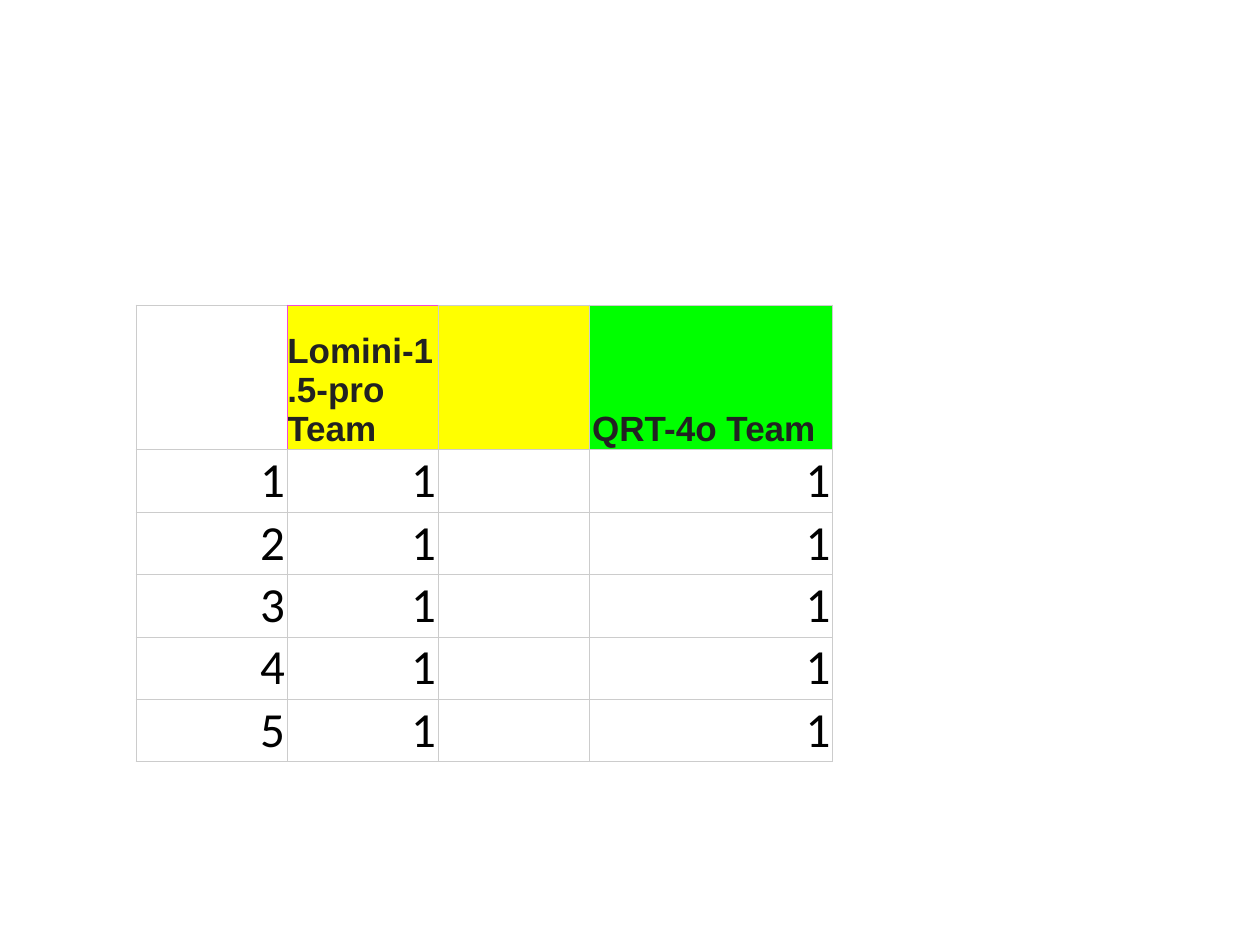
import pptx
import pptx.util
import pptx.dml.color
import pptx.enum.text
import pptx.oxml
import pptx.oxml.ns

Inches = pptx.util.Inches
RGB = pptx.dml.color.RGBColor.from_string

HEADINGS = ["", "Lomini-1.5-pro Team", "", "QRT-4o Team"]
SCORES = [[str(trial), "1", "", "1"] for trial in range(1, 6)]

THEME = {
    "heading": {"size": pptx.util.Pt(20), "name": "Arial", "bold": True},
    "score": {"size": pptx.util.Pt(28), "name": "Calibri", "bold": False},
    "heading_color": "222222",
    "score_color": "000000",
    "heading_fills": [None, "FFFF00", "FFFF00", "00FF00"],
    "grid": "CCCCCC",
    "accent": "F04AD9",
    "grid_width": pptx.util.Pt(0.5),
}
COLUMN_WIDTHS = [1.2, 1.2, 1.2, 1.93]
ROW_HEIGHTS = [1.15] + [0.39] * len(SCORES)
ACCENT_EDGES = {(0, 0): "R", (0, 1): "LT"}


def set_borders(cell, accent_edges):
    properties = cell._tc.get_or_add_tcPr()
    for position, edge in enumerate("LRTB"):
        color = THEME["accent"] if edge in accent_edges else THEME["grid"]
        properties.insert(position, pptx.oxml.parse_xml(
            f'<a:ln{edge} {pptx.oxml.ns.nsdecls("a")} w="{THEME["grid_width"]}">'
            f'<a:solidFill><a:srgbClr val="{color}"/></a:solidFill></a:ln{edge}>'
        ))


def write_text(cell, text, role, side_margin):
    layout = {
        "vertical_anchor": pptx.enum.text.MSO_ANCHOR.BOTTOM,
        "margin_left": Inches(side_margin),
        "margin_right": Inches(side_margin),
        "margin_top": Inches(0.01),
        "margin_bottom": Inches(0.01),
    }
    for key, value in layout.items():
        setattr(cell, key, value)
    paragraph = cell.text_frame.paragraphs[0]
    if role == "score":
        paragraph.alignment = pptx.enum.text.PP_ALIGN.RIGHT
    run = paragraph.add_run()
    run.text = text
    for key, value in THEME[role].items():
        setattr(run.font, key, value)
    run.font.color.rgb = RGB(THEME[role + "_color"])


def main():
    deck = pptx.Presentation()
    deck.slide_width, deck.slide_height = Inches(10), Inches(7.5)
    slide = deck.slides.add_slide(deck.slide_layouts[6])

    rows = [HEADINGS] + SCORES
    results = slide.shapes.add_table(
        len(rows), len(HEADINGS), Inches(1.08), Inches(2.42),
        Inches(sum(COLUMN_WIDTHS)), Inches(sum(ROW_HEIGHTS)),
    ).table
    results.first_row = results.horz_banding = False
    for column, width in zip(results.columns, COLUMN_WIDTHS):
        column.width = Inches(width)
    for row, height in zip(results.rows, ROW_HEIGHTS):
        row.height = Inches(height)

    for r, row in enumerate(rows):
        role = "score" if r else "heading"
        for c, text in enumerate(row):
            cell = results.cell(r, c)
            fill = None if r else THEME["heading_fills"][c]
            if fill:
                cell.fill.solid()
                cell.fill.fore_color.rgb = RGB(fill)
            else:
                cell.fill.background()
            set_borders(cell, ACCENT_EDGES.get((r, c), ""))
            if text:
                write_text(cell, text, role, 0 if (r, c) == (0, 1) else 0.02)

    deck.save("out.pptx")


if __name__ == "__main__":
    main()
